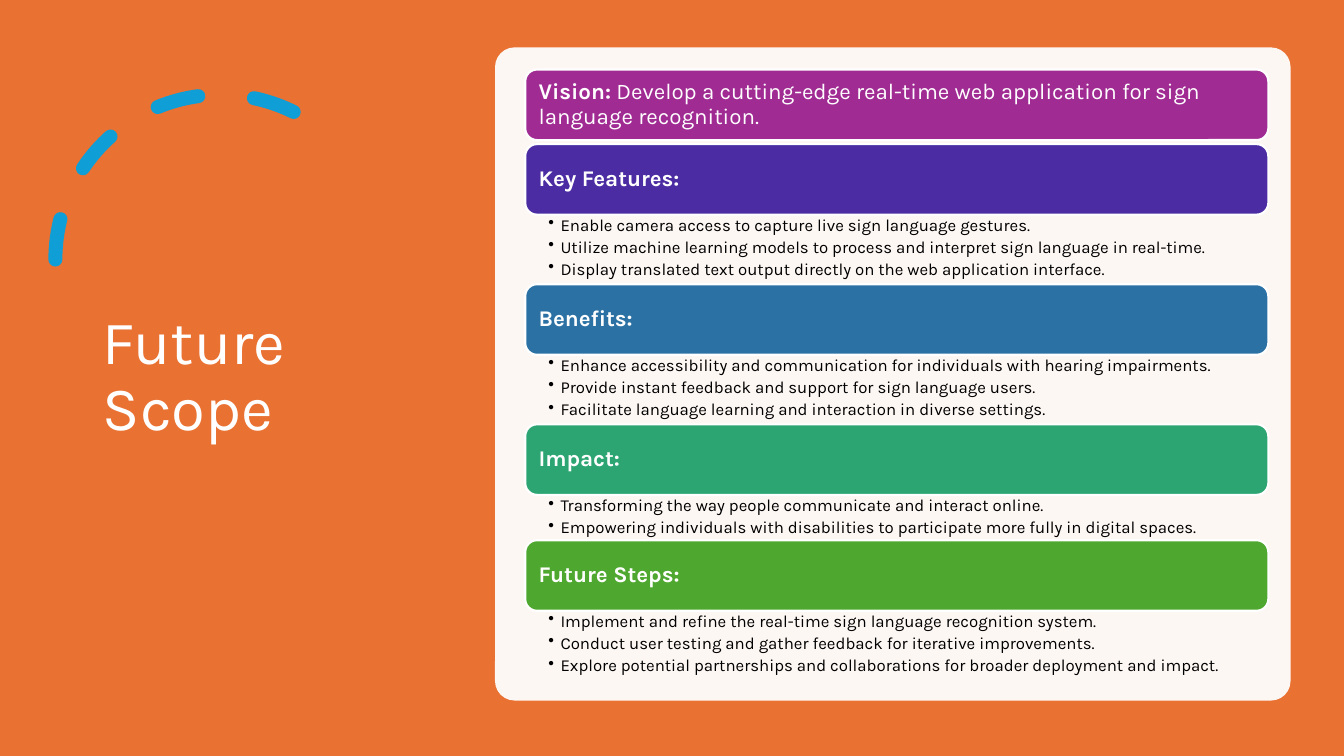
from pptx import Presentation, util as u
from pptx.dml.color import RGBColor
from pptx.enum import dml, shapes, text
from pptx.oxml import ns
from lxml import etree

WHITE = RGBColor(0xFF, 0xFF, 0xFF)
BLACK = RGBColor(0, 0, 0)
ORANGE = RGBColor(0xE9, 0x71, 0x32)
BLUE = RGBColor(0x0F, 0x9E, 0xD5)
PURPLE = RGBColor(0xA0, 0x2B, 0x93)
INDIGO = RGBColor(0x4B, 0x2C, 0xA2)
STEEL = RGBColor(0x2C, 0x71, 0xA4)
TEAL = RGBColor(0x2D, 0xA5, 0x73)
GREEN = RGBColor(0x4E, 0xA7, 0x2E)

FONT = "Karla"
LEFT, WIDTH, BAR = 5.21, 7.37, 0.7

# Bar colour, heading, text after the heading, bullets
TOPICS = [
    (PURPLE, "Vision:", " Develop a cutting-edge real-time web application "
     "for sign language recognition.", []),
    (INDIGO, "Key Features:", "", [
        "Enable camera access to capture live sign language gestures.",
        "Utilize machine learning models to process and interpret sign language in real-time.",
        "Display translated text output directly on the web application interface."]),
    (STEEL, "Benefits:", "", [
        "Enhance accessibility and communication for individuals with hearing impairments.",
        "Provide instant feedback and support for sign language users.",
        "Facilitate language learning and interaction in diverse settings."]),
    (TEAL, "Impact:", "", [
        "Transforming the way people communicate and interact online.",
        "Empowering individuals with disabilities to participate more fully in digital spaces."]),
    (GREEN, "Future Steps:", "", [
        "Implement and refine the real-time sign language recognition system.",
        "Conduct user testing and gather feedback for iterative improvements.",
        "Explore potential partnerships and collaborations for broader deployment and impact."]),
]


def box(*sizes):
    return [u.Inches(size) for size in sizes]


class Deck:
    def __init__(self):
        self.prs = Presentation()
        self.prs.slide_width, self.prs.slide_height = box(13.33, 7.5)
        self.slide = self.prs.slides.add_slide(self.prs.slide_layouts[5])

    def run(self, para, words, size, color, bold=False):
        font_run = para.add_run()
        font_run.text = words
        font = font_run.font
        font.name, font.size, font.bold = FONT, u.Pt(size), bold
        font.color.rgb = color

    def frame(self, shape, pads, anchor):
        frame = shape.text_frame
        frame.word_wrap = True
        frame.auto_size = text.MSO_AUTO_SIZE.NONE
        frame.vertical_anchor = anchor
        (frame.margin_left, frame.margin_top,
         frame.margin_right, frame.margin_bottom) = box(*pads)
        return frame

    def para(self, para):
        para.alignment = text.PP_ALIGN.LEFT
        para.line_spacing = 0.9
        return para

    def shape(self, kind, place, fill=None, line=None, width=0):
        shape = self.slide.shapes.add_shape(kind, *box(*place))
        shape.shadow.inherit = False
        if fill is None:
            shape.fill.background()
        else:
            shape.fill.solid()
            shape.fill.fore_color.rgb = fill
        if line is None:
            shape.line.fill.background()
        else:
            shape.line.color.rgb = line
            shape.line.width = u.Pt(width)
        return shape

    def arc(self, place, start, end, color, width):
        arc = self.shape(shapes.MSO_SHAPE.ARC, place, None, color, width)
        arc.adjustments[0], arc.adjustments[1] = start, end
        arc.line.dash_style = dml.MSO_LINE.DASH
        props = arc._element.spPr
        props.find(ns.qn("a:xfrm")).set("flipH", "1")
        props.find(ns.qn("a:ln")).set("cap", "rnd")

    def title(self, words, place):
        title = self.slide.shapes.title
        title.left, title.top, title.width, title.height = box(*place)
        frame = self.frame(title, (0.1, 0.05, 0.1, 0.05), text.MSO_ANCHOR.MIDDLE)
        self.run(self.para(frame.paragraphs[0]), words, 44, WHITE)
        # Bring the title in front of the backdrop
        self.slide.shapes._spTree.append(title._element)

    def panel(self, place, alpha):
        panel = self.shape(shapes.MSO_SHAPE.ROUNDED_RECTANGLE, place, WHITE)
        panel.adjustments[0] = 0.03
        color = panel._element.spPr.find(ns.qn("a:solidFill"))[0]
        etree.SubElement(color, ns.qn("a:alpha")).set("val", str(alpha * 1000))

    def bar(self, top, color, head, rest):
        bar = self.shape(shapes.MSO_SHAPE.ROUNDED_RECTANGLE,
                         (LEFT, top, WIDTH, BAR), color, WHITE, 1.5)
        frame = self.frame(bar, (0.1, 0.1, 0.1, 0.1), text.MSO_ANCHOR.MIDDLE)
        para = self.para(frame.paragraphs[0])
        self.run(para, head, 16, WHITE, True)
        if rest:
            self.run(para, rest, 16, WHITE)

    def bullets(self, top, height, items):
        area = self.slide.shapes.add_textbox(*box(LEFT, top, WIDTH, height))
        frame = self.frame(area, (0.23, 0.02, 0.12, 0.02), text.MSO_ANCHOR.TOP)
        for index, item in enumerate(items):
            para = self.para(frame.add_paragraph() if index else frame.paragraphs[0])
            para.space_after = u.Pt(2.8)
            props = para._p.get_or_add_pPr()
            props.set("marL", str(u.Inches(0.12)))
            props.set("indent", str(u.Inches(-0.12)))
            etree.SubElement(props, ns.qn("a:buChar")).set("char", "•")
            self.run(para, item, 12, BLACK)


def main():
    deck = Deck()

    # Backdrop, dashed arc and title
    deck.shape(shapes.MSO_SHAPE.RECTANGLE, (0, 0, 13.33, 7.5), ORANGE)
    deck.arc((0.55, 0.94, 3.27, 3.27), 146.13, 0, BLUE, 10)
    deck.title("Future Scope", (0.92, 0.7, 3.23, 6.09))

    # Panel with stacked topics
    deck.panel((4.91, 0.47, 7.89, 6.48), 95)
    top = 0.69
    for color, head, rest, items in TOPICS:
        deck.bar(top, color, head, rest)
        top += BAR
        if items:
            height = 0.24 * len(items) - 0.03
            deck.bullets(top, height, items)
            top += height
        else:
            top += 0.04

    deck.prs.save("out.pptx")


if __name__ == "__main__":
    main()
